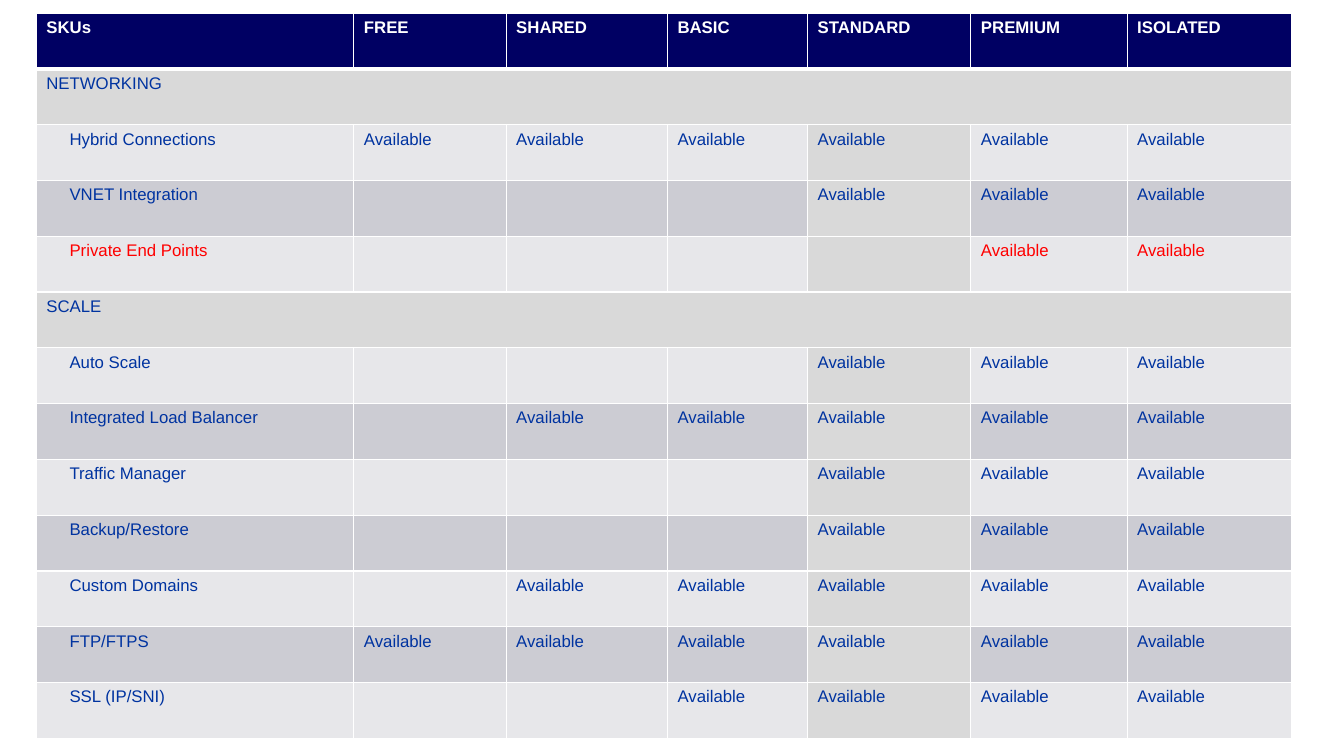
from dataclasses import dataclass

from lxml import etree
from pptx import Presentation
from pptx.dml.color import RGBColor
from pptx.oxml import ns
from pptx.util import Inches, Pt


@dataclass(frozen=True)
class Theme:
    font: str = "Arial"
    size: int = 12
    header_fill: str = "000063"
    section_fill: str = "D9D9D9"
    light_fill: str = "E7E7EA"
    dark_fill: str = "CCCCD3"
    white: str = "FFFFFF"
    blue: str = "0033A0"
    red: str = "FF0000"
    thin: int = 1
    thick: int = 3


THEME = Theme()
TIERS = ["FREE", "SHARED", "BASIC", "STANDARD", "PREMIUM", "ISOLATED"]
COLUMN_WIDTHS = [3.15, 1.51, 1.6, 1.39, 1.62, 1.55, 1.63]
ROW_HEIGHT = 7.2 / 13
STANDARD_COLUMN = 1 + TIERS.index("STANDARD")
FEATURE_INDENT = 0.33
NEW_FEATURE = "Private End Points"

SECTIONS = {
    "NETWORKING": {
        "Hybrid Connections": TIERS,
        "VNET Integration": TIERS[3:],
        NEW_FEATURE: TIERS[4:],
    },
    "SCALE": {
        "Auto Scale": TIERS[3:],
        "Integrated Load Balancer": TIERS[1:],
        "Traffic Manager": TIERS[3:],
        "Backup/Restore": TIERS[3:],
        "Custom Domains": TIERS[1:],
        "FTP/FTPS": TIERS,
        "SSL (IP/SNI)": TIERS[2:],
    },
}


def set_borders(cell, top, bottom):
    properties = cell._tc.get_or_add_tcPr()
    widths = {"lnL": THEME.thin, "lnR": THEME.thin, "lnT": top, "lnB": bottom}
    for side, width in widths.items():
        line = etree.SubElement(properties, ns.qn(f"a:{side}"), w=str(Pt(width)))
        fill = etree.SubElement(line, ns.qn("a:solidFill"))
        etree.SubElement(fill, ns.qn("a:srgbClr"), val=THEME.white)


def style_cell(cell, words, fill, color, bold=False, top=THEME.thin, bottom=THEME.thin):
    set_borders(cell, top, bottom)
    cell.fill.solid()
    cell.fill.fore_color.rgb = RGBColor.from_string(fill)
    cell.text = words
    font = cell.text_frame.paragraphs[0].font
    font.name = THEME.font
    font.size = Pt(THEME.size)
    font.bold = bold
    font.color.rgb = RGBColor.from_string(color)


def fill_header(table):
    for column, words in enumerate(["SKUs", *TIERS]):
        style_cell(table.cell(0, column), words, THEME.header_fill, THEME.white,
                   bold=True, bottom=THEME.thick)


def fill_section(table, row, name):
    last = len(TIERS)
    table.cell(row, 0).merge(table.cell(row, last))
    top = THEME.thick if row == 1 else THEME.thin
    for column in range(last + 1):
        style_cell(table.cell(row, column), "" if column else name,
                   THEME.section_fill, THEME.blue, top=top)


def fill_feature(table, row, name, available):
    color = THEME.red if name == NEW_FEATURE else THEME.blue
    band = THEME.dark_fill if row % 2 else THEME.light_fill
    marks = ["Available" if tier in available else "" for tier in TIERS]
    for column, words in enumerate([name, *marks]):
        fill = THEME.section_fill if column == STANDARD_COLUMN else band
        style_cell(table.cell(row, column), words, fill, color)
    table.cell(row, 0).margin_left = Inches(FEATURE_INDENT)


def add_sku_table(page):
    row_count = 1 + sum(1 + len(features) for features in SECTIONS.values())
    table = page.shapes.add_table(
        row_count, len(COLUMN_WIDTHS), Inches(0.36), Inches(0.13),
        Inches(sum(COLUMN_WIDTHS)), Inches(ROW_HEIGHT * row_count)).table
    for column, width in zip(table.columns, COLUMN_WIDTHS):
        column.width = Inches(width)
    fill_header(table)
    row = 1
    for section, features in SECTIONS.items():
        fill_section(table, row, section)
        for row, (name, available) in enumerate(features.items(), row + 1):
            fill_feature(table, row, name, available)
        row += 1


def main():
    deck = Presentation()
    deck.slide_width = Inches(13.33)
    deck.slide_height = Inches(7.5)
    page = deck.slides.add_slide(deck.slide_layouts[6])
    add_sku_table(page)
    deck.save("out.pptx")


if __name__ == "__main__":
    main()
